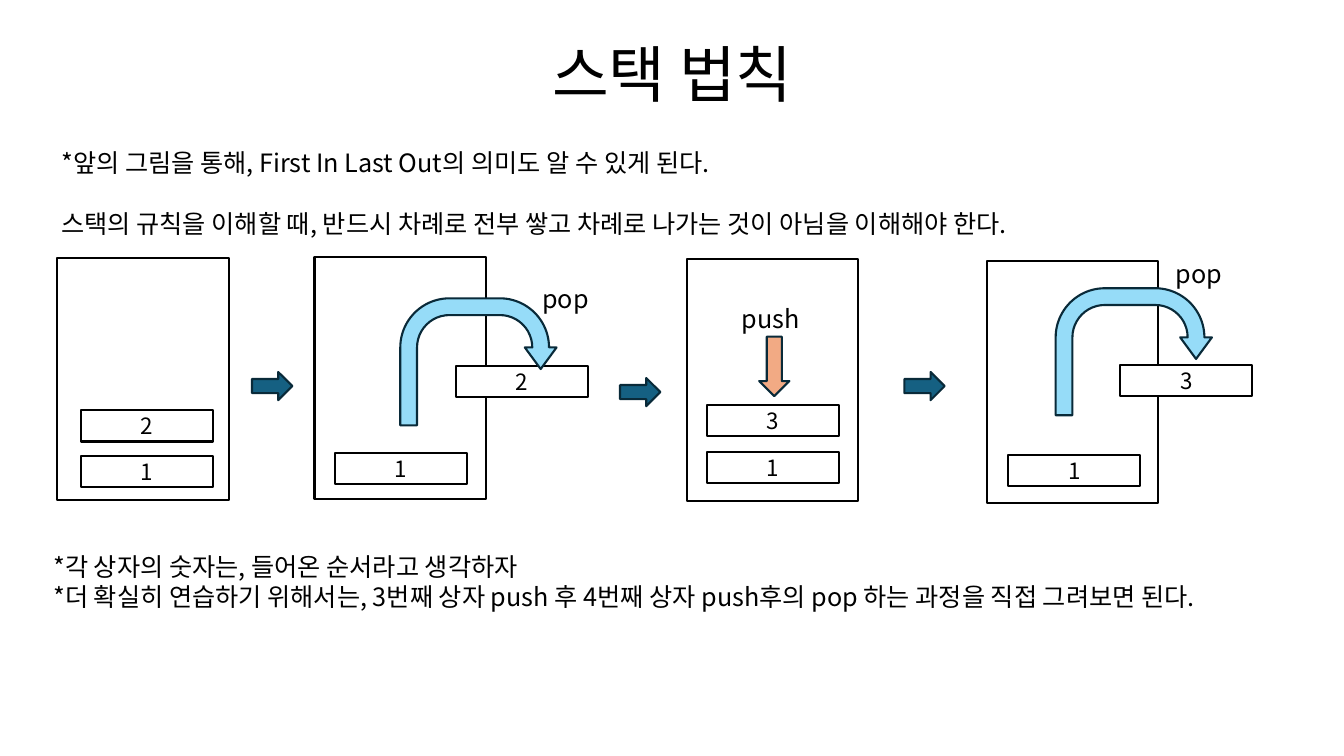
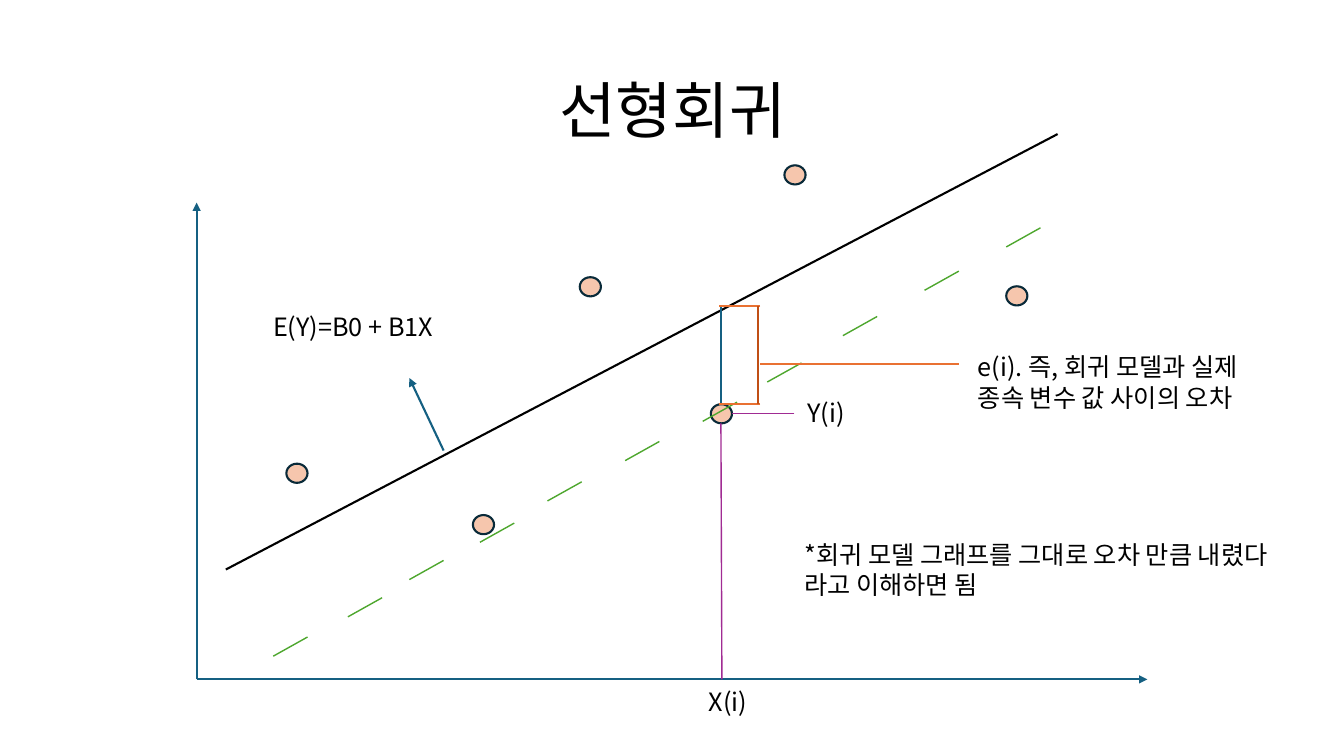
from lxml.etree import SubElement
from pptx import Presentation
from pptx.dml.color import RGBColor
from pptx.enum.shapes import MSO_CONNECTOR, MSO_SHAPE as Preset
from pptx.enum.text import MSO_ANCHOR, PP_ALIGN
from pptx.oxml.ns import qn
from pptx.util import Inches, Pt

FONT = "Noto Sans CJK KR"
BLACK = RGBColor(0x00, 0x00, 0x00)
WHITE = RGBColor(0xFF, 0xFF, 0xFF)
NAVY = RGBColor(0x09, 0x2A, 0x39)
TEAL = RGBColor(0x15, 0x60, 0x82)
SKY = RGBColor(0x96, 0xDC, 0xF8)
SALMON = RGBColor(0xF2, 0xAA, 0x84)
PEACH = RGBColor(0xF6, 0xC6, 0xAD)
PURPLE = RGBColor(0xA0, 0x2B, 0x93)
GREEN = RGBColor(0x4E, 0xA7, 0x2E)
ORANGE = RGBColor(0xE9, 0x71, 0x32)
RUST = RGBColor(0xC0, 0x4F, 0x15)

STACK_SIZE = (1.7, 2.4)
ITEM_SIZE = (1.31, 0.31)
UTURN_ADJUSTMENTS = (0.132, 0.125, 0.17, 0.438, 0.557)
DOT_SIZE = (0.21, 0.19)


def style_paragraph(para, size, align=PP_ALIGN.LEFT):
    para.alignment = align
    para.font.size = Pt(size)
    para.font.color.rgb = BLACK
    para.font.name = FONT
    defaults = para._p.pPr.find(qn("a:defRPr"))
    SubElement(defaults, qn("a:ea")).set("typeface", FONT)


def add_text(page, left, top, width, height, *lines, gap=0):
    """Add a text box with one paragraph a line, gap points apart."""
    box = page.shapes.add_textbox(
        Inches(left), Inches(top), Inches(width), Inches(height))
    frame = box.text_frame
    frame.word_wrap = True
    frame.text = "\n".join(lines)
    for number, para in enumerate(frame.paragraphs):
        style_paragraph(para, 18)
        if number and gap:
            para.space_before = Pt(gap)
    return box


def add_title(page, top, text):
    frame = add_text(page, 0.92, top, 11.5, 1.45, text).text_frame
    frame.vertical_anchor = MSO_ANCHOR.MIDDLE
    para = frame.paragraphs[0]
    para.alignment = PP_ALIGN.CENTER
    para.line_spacing = 0.9
    para.font.size = Pt(44)


def add_figure(page, preset, left, top, size, fill, outline=NAVY):
    width, height = size
    figure = page.shapes.add_shape(
        preset, Inches(left), Inches(top), Inches(width), Inches(height))
    figure.shadow.inherit = False
    figure.fill.solid()
    figure.fill.fore_color.rgb = fill
    figure.line.color.rgb = outline
    figure.line.width = Pt(1.5)
    return figure


def add_line(page, start, end, color, width=1.5, arrow=False):
    line = page.shapes.add_connector(
        MSO_CONNECTOR.STRAIGHT, *map(Inches, (*start, *end)))
    line.line.color.rgb = color
    line.line.width = Pt(width)
    if arrow:
        SubElement(line.line._get_or_add_ln(), qn("a:tailEnd")).set("type", "triangle")
    SubElement(line._element.spPr, qn("a:effectLst"))


def add_item(page, left, top, number):
    item = add_figure(page, Preset.RECTANGLE, left, top, ITEM_SIZE, WHITE, BLACK)
    frame = item.text_frame
    frame.margin_top = frame.margin_bottom = 0
    frame.vertical_anchor = MSO_ANCHOR.MIDDLE
    frame.text = number
    style_paragraph(frame.paragraphs[0], 16, PP_ALIGN.CENTER)


def add_stack(page, left, top, *items):
    """Add a stack and its items, each given as left, top and number."""
    add_figure(page, Preset.RECTANGLE, left, top, STACK_SIZE, WHITE, BLACK)
    for item in items:
        add_item(page, *item)


def add_pop(page, item, arrow_at, label_at):
    """Add the popped item, the bent arrow to it and the label."""
    add_item(page, *item)
    arrow = add_figure(page, Preset.U_TURN_ARROW, *arrow_at, (1.55, 1.26), SKY)
    for index, value in enumerate(UTURN_ADJUSTMENTS):
        arrow.adjustments[index] = value
    add_text(page, *label_at, 0.78, 0.4, "pop")


def build_stack_page(page):
    add_title(page, 0.04, "스택 법칙")
    add_text(page, 0.51, 1.41, 12.31, 1.62,
             "*앞의 그림을 통해, First In Last Out의 의미도 알 수 있게 된다.",
             "스택의 규칙을 이해할 때, 반드시 차례로 전부 쌓고 차례로 나가는 것이 "
             "아님을 이해해야 한다.", gap=22)

    add_stack(page, 0.57, 2.56, (0.8, 4.52, "1"), (0.8, 4.07, "2"))
    add_stack(page, 3.12, 2.55, (3.32, 4.49, "1"))
    add_pop(page, (4.52, 3.63, "2"), (3.97, 2.96), (5.28, 2.76))
    add_stack(page, 6.81, 2.57, (7.01, 4.48, "1"), (7.01, 4.02, "3"))
    add_figure(page, Preset.DOWN_ARROW, 7.53, 3.34, (0.3, 0.59), SALMON)
    add_text(page, 7.26, 2.96, 0.79, 0.4, "push")
    add_stack(page, 9.79, 2.59, (10, 4.51, "1"))
    add_pop(page, (11.11, 3.62, "3"), (10.47, 2.86), (11.56, 2.51))
    for left, top in ((2.5, 3.69), (6.15, 3.75), (8.97, 3.69)):
        add_figure(page, Preset.RIGHT_ARROW, left, top, (0.4, 0.28), TEAL)

    add_text(page, 0.43, 5.42, 13.15, 1.01,
             "*각 상자의 숫자는, 들어온 순서라고 생각하자",
             "*더 확실히 연습하기 위해서는, 3번째 상자 push 후 4번째 상자 push후의 "
             "pop 하는 과정을 직접 그려보면 된다.")


def build_regression_page(page):
    add_title(page, 0.4, "선형회귀")
    origin = (1.95, 6.74)
    for axis_end in ((1.95, 2.01), (11.38, 6.74)):
        add_line(page, origin, axis_end, TEAL, arrow=True)
    add_line(page, (2.24, 5.65), (10.49, 1.33), BLACK)

    dots = ((2.84, 4.6), (4.69, 5.11), (5.75, 2.75),
            (7.05, 4.01), (7.78, 1.64), (9.98, 2.84))
    for left, top in dots:
        add_figure(page, Preset.OVAL, left, top, DOT_SIZE, PEACH)

    add_line(page, (7.16, 6.74), (7.15, 4.2), PURPLE, 1)
    add_text(page, 6.93, 6.76, 1.1, 0.4, "X(i)")
    add_line(page, (7.88, 4.1), (7.26, 4.1), PURPLE, 1)
    add_text(page, 7.91, 3.89, 0.63, 0.4, "Y(i)")

    dashes = ((2.71, 6.51), (3.45, 6.12), (4.06, 5.75), (4.76, 5.38),
              (5.43, 4.97), (6.2, 4.57), (6.97, 4.18), (7.61, 3.79),
              (8.36, 3.33), (9.17, 2.88), (9.98, 2.45))
    for x, y in dashes:
        add_line(page, (x, y), (x + 0.34, y - 0.19), GREEN, 1)

    add_line(page, (4.4, 4.47), (4.06, 3.75), TEAL, arrow=True)
    add_text(page, 2.61, 3.04, 2.57, 0.4, "E(Y)=B0 + B1X")

    error_top, error_bottom = 3.04, 4.01
    add_line(page, (7.15, error_bottom), (7.15, error_top), TEAL)
    add_line(page, (9.51, 3.61), (7.54, 3.61), ORANGE)
    for y in (error_top, error_bottom):
        add_line(page, (7.54, y), (7.13, y), ORANGE)
    add_line(page, (7.52, error_bottom), (7.52, error_top), RUST)
    add_text(page, 9.6, 3.44, 3.27, 0.71,
             "e(i). 즉, 회귀 모델과 실제 종속 변수 값 사이의 오차")
    add_text(page, 7.88, 5.3, 4.86, 0.71,
             "*회귀 모델 그래프를 그대로 오차 만큼 내렸다 라고 이해하면 됨")


def main():
    deck = Presentation()
    deck.slide_width, deck.slide_height = Inches(13.33), Inches(7.5)
    blank = deck.slide_layouts[6]
    for build in (build_stack_page, build_regression_page):
        build(deck.slides.add_slide(blank))
    deck.save("out.pptx")


if __name__ == "__main__":
    main()
